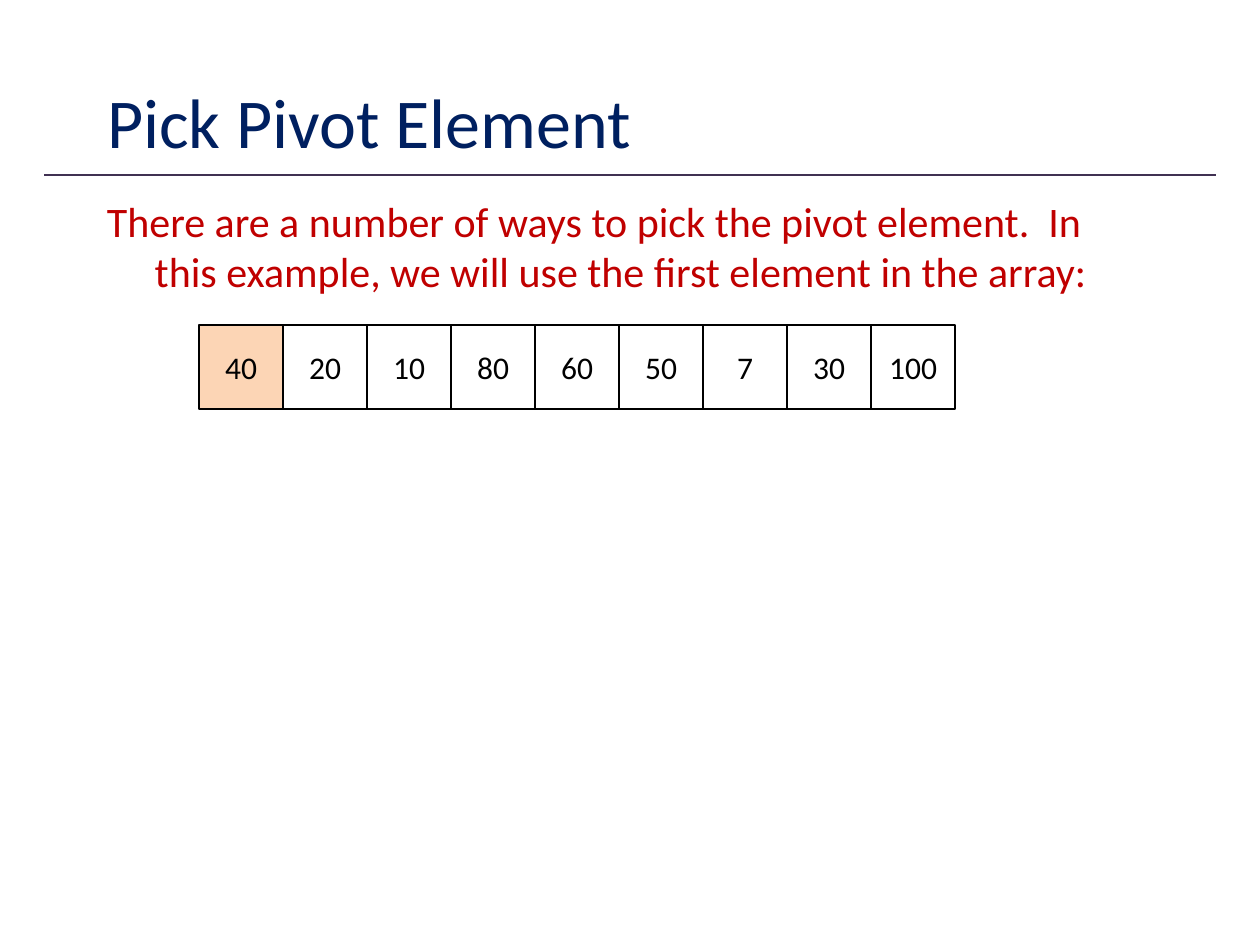
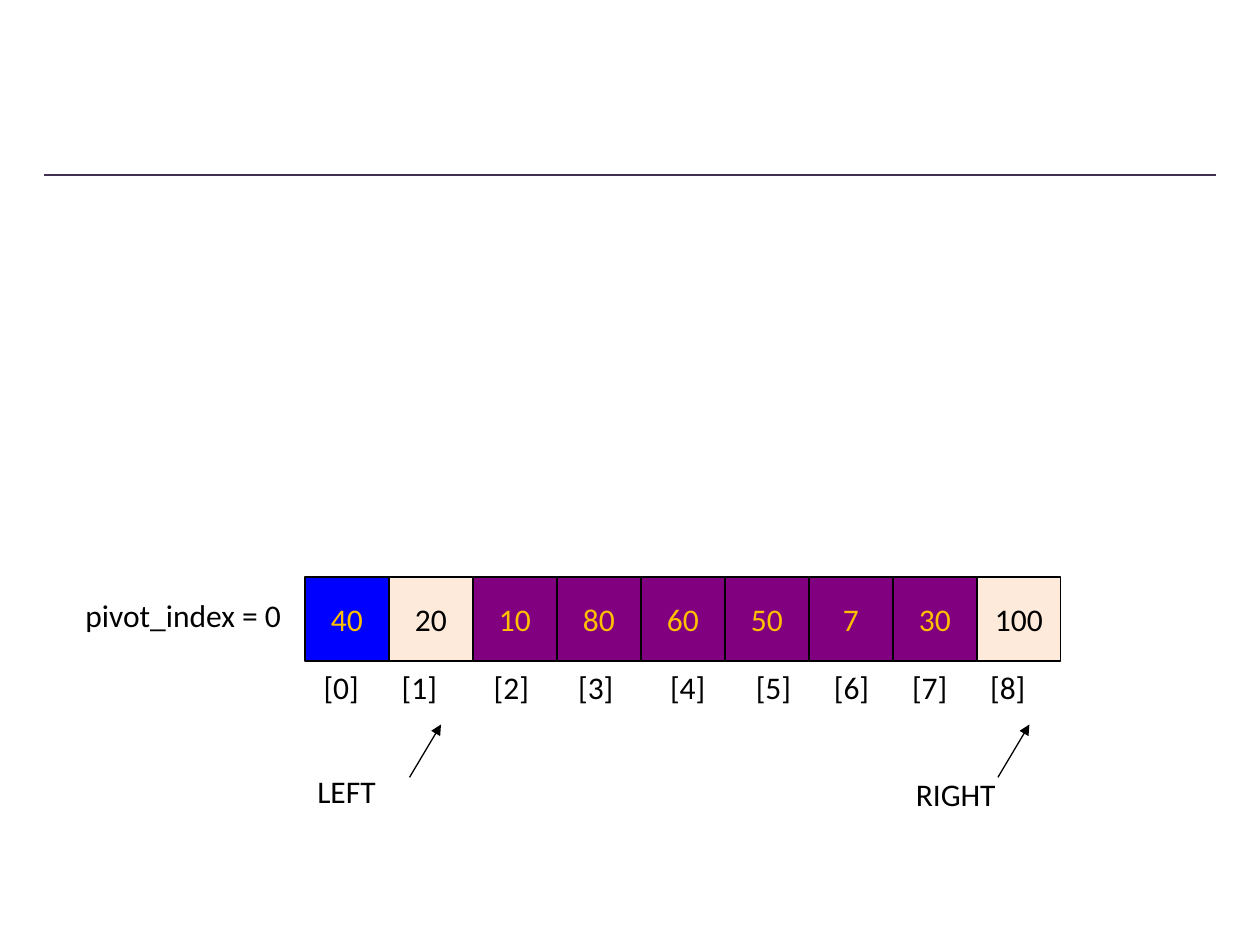
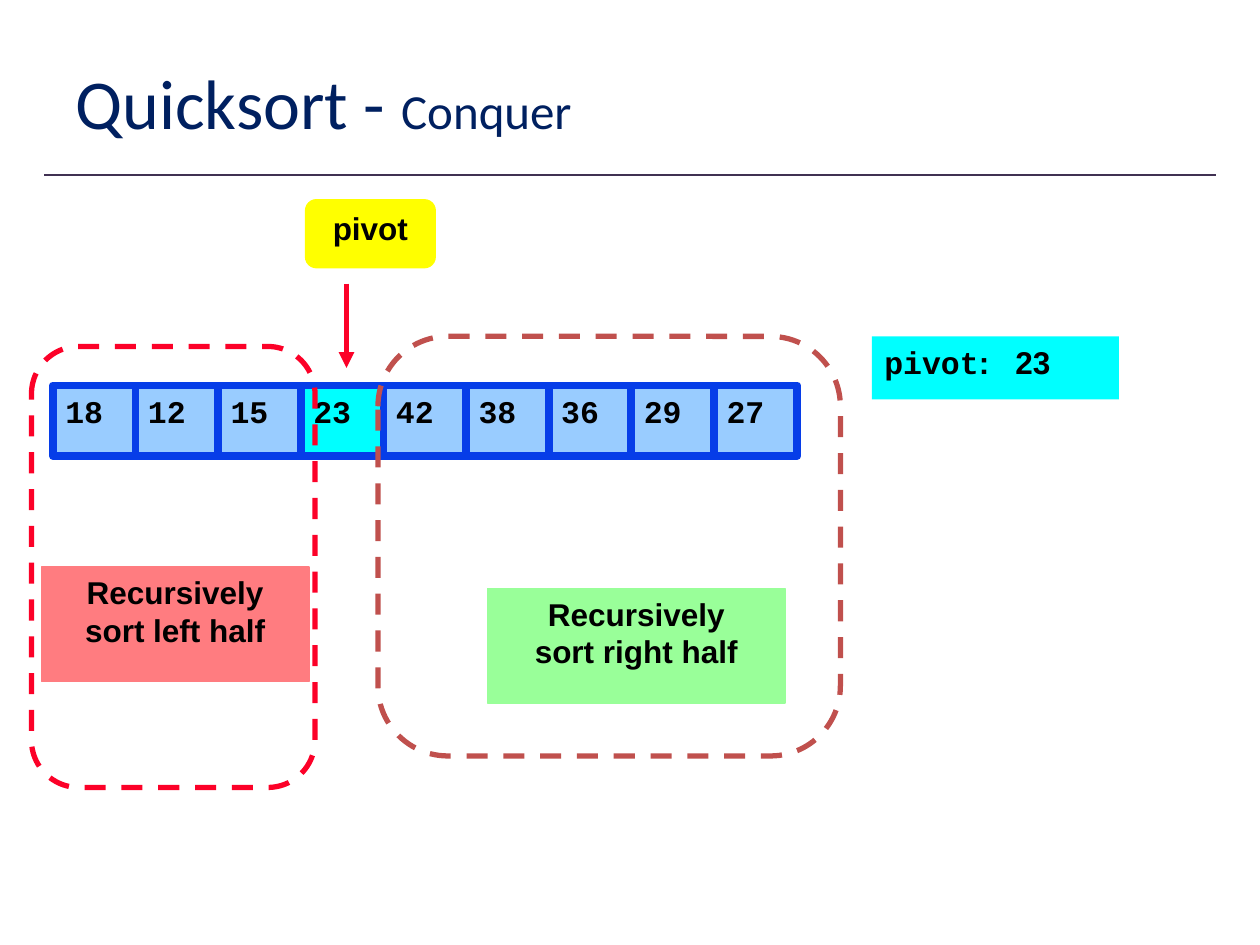
from lxml.etree import SubElement
from pptx import Presentation
from pptx.dml.color import RGBColor
from pptx.enum.dml import MSO_LINE
from pptx.enum.shapes import MSO_CONNECTOR, MSO_SHAPE
from pptx.enum.text import MSO_ANCHOR, PP_ALIGN
from pptx.oxml.ns import qn
from pptx.util import Inches, Pt

COLORS = {
    "title": "002060",
    "rule": "403152",
    "intro": "C00000",
    "black": "000000",
    "white": "FFFFFF",
    "peach": "FCD5B5",
    "cream": "FDEADA",
    "blue": "0000FF",
    "purple": "800080",
    "gold": "FFC000",
    "yellow": "FFFF00",
    "sky": "99CCFF",
    "cyan": "00FFFF",
    "royal": "063DE8",
    "red": "FC0128",
    "brick": "C0504D",
    "salmon": "FF7C80",
    "green": "99FF99",
}
TITLE_ONLY, BLANK = 5, 6
CELL = 2 / 3
VALUES = [40, 20, 10, 80, 60, 50, 7, 30, 100]
INDEX_TABS = [0.62, 1.35, 2.02, 2.75, 3.43, 4.05, 4.67, 5.29]


def color(name):
    return RGBColor.from_string(COLORS[name])


class Deck:
    def __init__(self):
        self.presentation = Presentation()
        self.presentation.slide_width = Inches(10)
        self.presentation.slide_height = Inches(7.5)
        self.slide = None

    def add_slide(self, layout):
        layouts = self.presentation.slide_layouts
        self.slide = self.presentation.slides.add_slide(layouts[layout])
        self.line((0.35, 1.39), (9.65, 1.39), "rule", 1)

    def style(self, paragraph, size=18, font="Calibri", ink="black", bold=False,
              align=PP_ALIGN.LEFT):
        paragraph.alignment = align
        paragraph.font.size = Pt(size)
        paragraph.font.name = font
        paragraph.font.bold = bold
        paragraph.font.color.rgb = color(ink)

    def title(self, text, box, subtitle=""):
        title = self.slide.shapes.title
        title.left, title.top, title.width, title.height = map(Inches, box)
        title.text_frame.vertical_anchor = MSO_ANCHOR.MIDDLE
        paragraph = title.text_frame.paragraphs[0]
        paragraph.add_run().text = text
        self.style(paragraph, 40, ink="title")
        if subtitle:
            run = paragraph.add_run()
            run.text = subtitle
            run.font.size = Pt(28)

    def text(self, text, box, **style):
        frame = self.slide.shapes.add_textbox(*map(Inches, box)).text_frame
        frame.word_wrap = True
        frame.text = text
        paragraph = frame.paragraphs[0]
        self.style(paragraph, **style)
        return paragraph

    def hang(self, paragraph, indent):
        properties = paragraph._p.get_or_add_pPr()
        properties.set("marL", str(Inches(indent)))
        properties.set("indent", str(-Inches(indent)))

    def tabs(self, paragraph, stops):
        properties = paragraph._p.get_or_add_pPr()
        tab_list = properties.makeelement(qn("a:tabLst"))
        properties.insert_element_before(tab_list, "a:defRPr", "a:extLst")
        for stop in stops:
            SubElement(tab_list, qn("a:tab"), pos=str(Inches(stop)), algn="l")

    def shape(self, box, text="", fill=None, line=None, width=1, dashed=False,
              kind=MSO_SHAPE.RECTANGLE, anchor=MSO_ANCHOR.TOP, **style):
        shape = self.slide.shapes.add_shape(kind, *map(Inches, box))
        shape.shadow.inherit = False
        if fill:
            shape.fill.solid()
            shape.fill.fore_color.rgb = color(fill)
        else:
            shape.fill.background()
        if line:
            shape.line.color.rgb = color(line)
            shape.line.width = Pt(width)
        else:
            shape.line.fill.background()
        if dashed:
            shape.line.dash_style = MSO_LINE.DASH
        if text:
            frame = shape.text_frame
            frame.text = text
            frame.word_wrap = True
            frame.vertical_anchor = anchor
            for paragraph in frame.paragraphs:
                self.style(paragraph, **style)
        return shape

    def line(self, start, end, ink, width, arrow=False):
        points = map(Inches, (*start, *end))
        connector = self.slide.shapes.add_connector(MSO_CONNECTOR.STRAIGHT, *points)
        connector.line.color.rgb = color(ink)
        connector.line.width = Pt(width)
        if arrow:
            SubElement(connector.line._get_or_add_ln(), qn("a:tailEnd"), type="triangle")
        SubElement(connector._element.spPr, qn("a:effectLst"))

    def number_row(self, left, top, fills):
        for index, (value, fill) in enumerate(zip(VALUES, fills)):
            ink = "gold" if fill in ("blue", "purple") else "black"
            self.shape((left + index * CELL, top, CELL, CELL), str(value), fill,
                       "black", 0.75, anchor=MSO_ANCHOR.MIDDLE, ink=ink,
                       align=PP_ALIGN.CENTER)


def pick_pivot(deck):
    deck.add_slide(TITLE_ONLY)
    deck.title("Pick Pivot Element", (0.75, 0.33, 8.5, 1.25))
    intro = deck.text(
        "There are a number of ways to pick the pivot element.  In this example, "
        "we will use the first element in the array:",
        (0.75, 1.5, 8.5, 4.5), size=24, ink="intro")
    intro.space_before = Pt(5)
    deck.hang(intro, 0.38)
    deck.number_row(1.58, 2.58, ["peach"] + ["white"] * 8)


def scan_array(deck):
    deck.add_slide(BLANK)
    deck.number_row(2.42, 4.58, ["blue", "cream"] + ["purple"] * 6 + ["cream"])
    deck.text("pivot_index = 0", (0.58, 4.68, 1.83, 0.4))
    labels = "\t".join(f"[{index}]" for index in range(len(VALUES)))
    deck.tabs(deck.text(labels, (2.47, 5.25, 5.87, 0.4)), INDEX_TABS)
    deck.text("LEFT", (2.42, 6.08, 3.17, 0.4))
    deck.text("RIGHT", (7.17, 6.1, 2.33, 0.4))
    for left in (3.25, 7.92):
        deck.line((left, 6.17), (left + 0.25, 5.75), "black", 0.75, arrow=True)


def conquer(deck):
    label = {"font": "Arial", "bold": True, "align": PP_ALIGN.CENTER}
    code = {"font": "Courier New", "bold": True}
    rounded = MSO_SHAPE.ROUNDED_RECTANGLE
    deck.add_slide(TITLE_ONLY)
    deck.title("Quicksort - ", (0.5, 0.3, 9, 1.01), "Conquer")
    deck.shape((2.42, 1.58, 1.04, 0.55), "pivot", "yellow", kind=rounded, **label)
    for index, value in enumerate([18, 12, 15, 23, 42, 38, 36, 29, 27]):
        fill = "cyan" if value == 23 else "sky"
        deck.shape((0.42 + index * 0.656, 3.06, 0.66, 0.56), str(value), fill,
                   "royal", 4.5, **code)
    pivot_value = deck.shape((6.92, 2.67, 1.96, 0.5), "pivot", "cyan", **code)
    paragraph = pivot_value.text_frame.paragraphs[0]
    run = paragraph.add_run()
    run.text = ":\t23"
    run.font.name = "Arial"
    deck.tabs(paragraph, [1.04])
    deck.line((2.75, 2.25), (2.75, 2.92), "red", 3, arrow=True)
    halves = [
        ("left", (0.25, 2.75, 2.25, 3.5), "red", (0.33, 4.5, 2.12, 0.91), "salmon"),
        ("right", (3, 2.67, 3.67, 3.33), "brick", (3.87, 4.67, 2.36, 0.91), "green"),
    ]
    for side, outline, ink, box, fill in halves:
        deck.shape(outline, line=ink, width=3, dashed=True, kind=rounded)
        deck.shape(box, f"Recursively\nsort {side} half", fill, fill, **label)


def main():
    deck = Deck()
    pick_pivot(deck)
    scan_array(deck)
    conquer(deck)
    deck.presentation.save("out.pptx")


if __name__ == "__main__":
    main()
